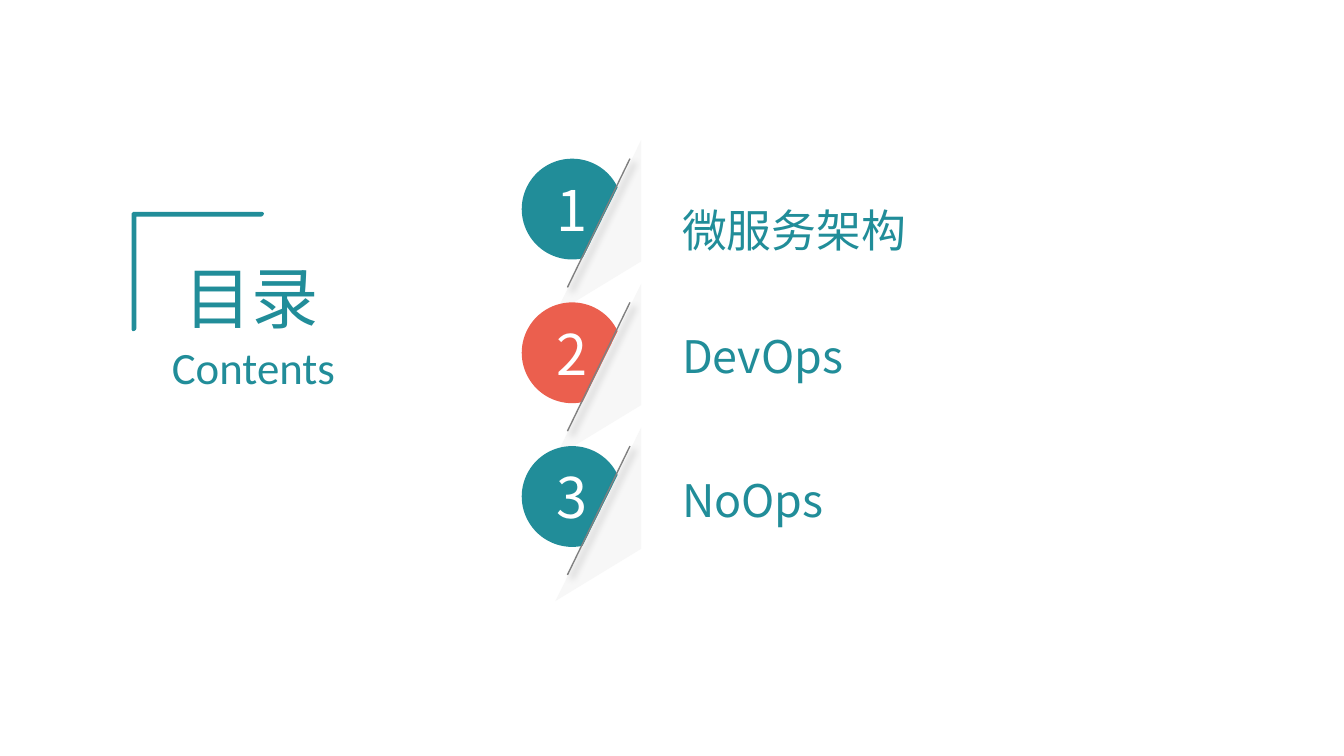
from dataclasses import dataclass

from lxml import etree
from pptx import Presentation
from pptx.dml.color import RGBColor
from pptx.enum import shapes, text
from pptx.oxml import ns
from pptx.util import Pt


@dataclass(frozen=True)
class Theme:
    teal: str = "218D99"
    coral: str = "EB5F4E"
    frame: str = "65686F"
    fold: str = "F7F7F7"
    edge: str = "808080"
    shadow: str = "000000"
    white: str = "FFFFFF"
    latin: str = "Calibri"
    cjk: str = "Noto Sans CJK SC"
    title: int = 36
    number: int = 30
    label: int = 24


@dataclass(frozen=True)
class Label:
    words: str
    left: float
    top: float
    width: float
    height: float
    font: str
    size: int
    align: text.PP_ALIGN = text.PP_ALIGN.LEFT
    anchor: text.MSO_ANCHOR = text.MSO_ANCHOR.TOP


@dataclass(frozen=True)
class Badge:
    number: str
    color: str


THEME = Theme()
FIRST_TOP, PITCH = 75, 77
BADGES = [Badge("1", THEME.teal), Badge("2", THEME.coral), Badge("3", THEME.teal)]
LABELS = [
    Label("微服务架构", 360, 106, 187, 34.5, THEME.cjk, THEME.label),
    Label("DevOps", 360, 173.5, 187, 63.5, THEME.cjk, THEME.label),
    Label("NoOps", 360, 250.5, 187, 34.5, THEME.cjk, THEME.label),
    Label("目录", 93.5, 141, 93.5, 35.5, THEME.latin, THEME.title,
          anchor=text.MSO_ANCHOR.MIDDLE),
    Label("Contents", 73.5, 179.5, 124.5, 34.5, THEME.latin, THEME.label,
          align=text.PP_ALIGN.CENTER),
]


def rgb(color: str) -> RGBColor:
    return RGBColor.from_string(color)


def paint(sp, color: str) -> None:
    """Give a shape a flat fill with no outline or shadow."""
    sp.shadow.inherit = False
    sp.fill.solid()
    sp.fill.fore_color.rgb = rgb(color)
    sp.line.fill.background()


def add_words(p, words: str, font: str, size: int, color: str) -> None:
    r = p.add_run()
    r.text = words
    r.font.name, r.font.size = font, Pt(size)
    r.font.color.rgb = rgb(color)
    ea = etree.SubElement(r.font._element, ns.qn("a:ea"))
    ea.set("typeface", THEME.cjk)


def add_soft_shadow(line) -> None:
    effects = etree.SubElement(line._element.spPr, ns.qn("a:effectLst"))
    outer = etree.SubElement(
        effects, ns.qn("a:outerShdw"), blurRad=str(Pt(4)), dist=str(Pt(3)),
        dir="2700000", algn="tl", rotWithShape="0")
    color = etree.SubElement(outer, ns.qn("a:srgbClr"), val=THEME.shadow)
    etree.SubElement(color, ns.qn("a:alpha"), val="40000")


def add_frame(s) -> None:
    sp = s.shapes.add_shape(shapes.MSO_SHAPE.HALF_FRAME,
                            Pt(71.5), Pt(114.5), Pt(69), Pt(62))
    sp.adjustments[0], sp.adjustments[1] = 0.01, 0.01
    paint(sp, THEME.frame)
    sp.line.color.rgb = rgb(THEME.teal)
    sp.line.width = Pt(2)


def add_badge(s, badge: Badge, top: float) -> None:
    """Draw a numbered circle cut by a folded corner and its edge."""
    circle = s.shapes.add_shape(shapes.MSO_SHAPE.OVAL,
                                Pt(279.5), Pt(top + 10), Pt(54), Pt(54))
    paint(circle, badge.color)
    tf = circle.text_frame
    tf.vertical_anchor = text.MSO_ANCHOR.MIDDLE
    p = tf.paragraphs[0]
    p.alignment = text.PP_ALIGN.CENTER
    add_words(p, badge.number, THEME.cjk, THEME.number, THEME.white)

    right, left = Pt(343.5), Pt(297.5)
    fold = s.shapes.build_freeform(right, Pt(top), scale=1.0)
    fold.add_line_segments([(right, Pt(top + 65)), (left, Pt(top + 93))], close=True)
    paint(fold.convert_to_shape(), THEME.fold)

    edge = s.shapes.add_connector(shapes.MSO_CONNECTOR.STRAIGHT, Pt(337.5),
                                  Pt(top + 10), Pt(304), Pt(top + 79))
    edge.line.color.rgb = rgb(THEME.edge)
    edge.line.width = Pt(0.75)
    add_soft_shadow(edge)


def add_label(s, label: Label) -> None:
    sp = s.shapes.add_textbox(Pt(label.left), Pt(label.top),
                              Pt(label.width), Pt(label.height))
    tf = sp.text_frame
    tf.word_wrap = True
    tf.vertical_anchor = label.anchor
    tf.margin_left = tf.margin_right = Pt(5.4)
    tf.margin_top = tf.margin_bottom = Pt(2.7)
    p = tf.paragraphs[0]
    p.alignment = label.align
    add_words(p, label.words, label.font, label.size, THEME.teal)


def main() -> None:
    prs = Presentation()
    prs.slide_width, prs.slide_height = Pt(720), Pt(405)
    s = prs.slides.add_slide(prs.slide_layouts[6])
    add_frame(s)
    for row, badge in enumerate(BADGES):
        add_badge(s, badge, FIRST_TOP + row * PITCH)
    for label in LABELS:
        add_label(s, label)
    prs.save("out.pptx")


if __name__ == "__main__":
    main()
